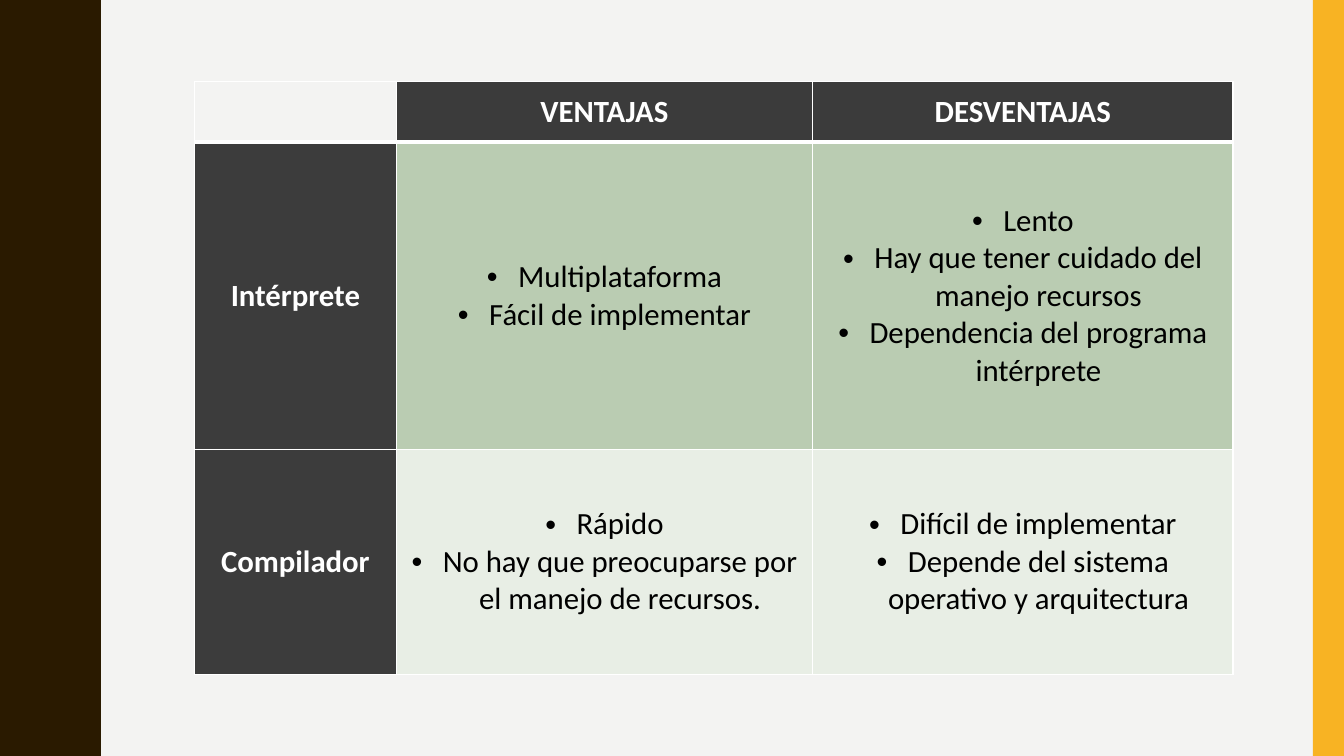
from math import cos, pi, sin

from lxml.etree import SubElement
from pptx import Presentation
from pptx.dml.color import RGBColor
from pptx.enum.shapes import MSO_SHAPE
from pptx.enum.text import MSO_ANCHOR, PP_ALIGN
from pptx.oxml.ns import qn
from pptx.util import Inches, Pt

# Content: header row, then one row per kind of translator
ROWS = [
    [[], ["VENTAJAS"], ["DESVENTAJAS"]],
    [["Intérprete"],
     ["Multiplataforma", "Fácil de implementar"],
     ["Lento", "Hay que tener cuidado del manejo recursos",
      "Dependencia del programa intérprete"]],
    [["Compilador"],
     ["Rápido", "No hay que preocuparse por el manejo de recursos."],
     ["Difícil de implementar", "Depende del sistema operativo y arquitectura"]],
]

# Formats
HEADING = {"size": Pt(22), "name": "Calibri", "bold": True}
BODY = {**HEADING, "bold": False}
CELL = {"vertical_anchor": MSO_ANCHOR.MIDDLE,
        "margin_left": Inches(0.12), "margin_right": Inches(0.12),
        "margin_top": Inches(0.06), "margin_bottom": Inches(0.06)}
HEADER_FILL, LABEL_FILL = "3B3B3B", "3C3C3C"
BODY_FILLS = [None, "BACCB2", "E8EEE5"]
WHITE, BLACK = "FFFFFF", "000000"

# Geometry in inches
WIDTH, HEIGHT = 13.33, 7.5
TABLE_LEFT, TABLE_TOP = 1.93, 0.81
COLUMNS = [2, 4.13, 4.17]
ROW_HEIGHTS = [0.6, 3.05, 2.23]
BULLET_INDENT = 0.31
STRIPE_WIDTH = 0.31
HALF_WAVE = 0.75
WAVE = [(0.78, 0), (0.78, 0.07), (0.79, 0.14), (0.8, 0.2), (0.81, 0.25),
        (0.83, 0.29), (0.85, 0.33), (0.87, 0.38), (0.89, 0.42), (0.91, 0.46),
        (0.93, 0.5), (0.95, 0.55), (0.96, 0.61), (0.97, 0.68), (0.97, 0.75)]
DISC_X, DISC_Y, DISC_RADIUS, DISC_STEPS = 13.34, 0.84, 0.45, 52


def color(value):
    return RGBColor.from_string(value)


def paint(shape, fill):
    shape.shadow.inherit = False
    shape.fill.solid()
    shape.fill.fore_color.rgb = color(fill)
    shape.line.fill.background()


def draw_outline(page, points, fill):
    builder = page.shapes.build_freeform(*points[0], scale=Inches(1))
    builder.add_line_segments(points[1:], close=True)
    paint(builder.convert_to_shape(), fill)


def add_borders(cell, bottom):
    properties = cell._tc.get_or_add_tcPr()
    for side, points in {"L": 1, "R": 1, "T": 1, "B": bottom}.items():
        line = SubElement(properties, qn(f"a:ln{side}"), w=str(Pt(points)))
        solid = SubElement(line, qn("a:solidFill"))
        SubElement(solid, qn("a:srgbClr"), val=WHITE)


def add_bullet(para):
    properties = para._p.get_or_add_pPr()
    properties.set("marL", str(Inches(BULLET_INDENT)))
    properties.set("indent", str(-Inches(BULLET_INDENT)))
    SubElement(properties, qn("a:buFont"), typeface="Arial")
    SubElement(properties, qn("a:buChar"), char="•")


def fill_cell(cell, lines, row, column):
    is_heading = row == 0 or column == 0
    for name, value in CELL.items():
        setattr(cell, name, value)
    add_borders(cell, 3 if row == 0 else 1)
    if not lines:
        cell.fill.background()
        return
    cell.fill.solid()
    fill = HEADER_FILL if row == 0 else LABEL_FILL if column == 0 else BODY_FILLS[row]
    cell.fill.fore_color.rgb = color(fill)
    for index, line in enumerate(lines):
        frame = cell.text_frame
        para = frame.add_paragraph() if index else frame.paragraphs[0]
        para.alignment = PP_ALIGN.CENTER
        if not is_heading:
            add_bullet(para)
        span = para.add_run()
        span.text = line
        for name, value in (HEADING if is_heading else BODY).items():
            setattr(span.font, name, value)
        span.font.color.rgb = color(WHITE if is_heading else BLACK)


def main():
    deck = Presentation()
    deck.slide_width, deck.slide_height = Inches(WIDTH), Inches(HEIGHT)
    page = deck.slides.add_slide(deck.slide_layouts[6])
    page.background.fill.solid()
    page.background.fill.fore_color.rgb = color("F3F3F2")

    # Wavy left edge: the half wave alternates with its mirror
    edge = [(0, 0)]
    for half in range(round(HEIGHT / HALF_WAVE)):
        top = half * HALF_WAVE
        if half % 2:
            edge += [(x, top + HALF_WAVE - y) for x, y in reversed(WAVE)]
        else:
            edge += [(x, top + y) for x, y in WAVE]
    draw_outline(page, edge + [(0, HEIGHT)], "2A1A00")

    # Right stripe with its half disc
    stripe = page.shapes.add_shape(
        MSO_SHAPE.RECTANGLE, Inches(WIDTH - STRIPE_WIDTH), 0,
        Inches(STRIPE_WIDTH), Inches(HEIGHT))
    paint(stripe, "F8B323")
    angles = [pi * step / DISC_STEPS for step in range(DISC_STEPS + 1)]
    draw_outline(page, [(DISC_X - DISC_RADIUS * sin(angle),
                         DISC_Y + DISC_RADIUS * cos(angle)) for angle in angles], WHITE)

    # Comparison table
    table = page.shapes.add_table(
        len(ROWS), len(COLUMNS), Inches(TABLE_LEFT), Inches(TABLE_TOP),
        Inches(sum(COLUMNS)), Inches(sum(ROW_HEIGHTS))).table
    for column, width in zip(table.columns, COLUMNS):
        column.width = Inches(width)
    for row, height in zip(table.rows, ROW_HEIGHTS):
        row.height = Inches(height)
    for row, cells in enumerate(ROWS):
        for column, lines in enumerate(cells):
            fill_cell(table.cell(row, column), lines, row, column)

    deck.save("out.pptx")


if __name__ == "__main__":
    main()
